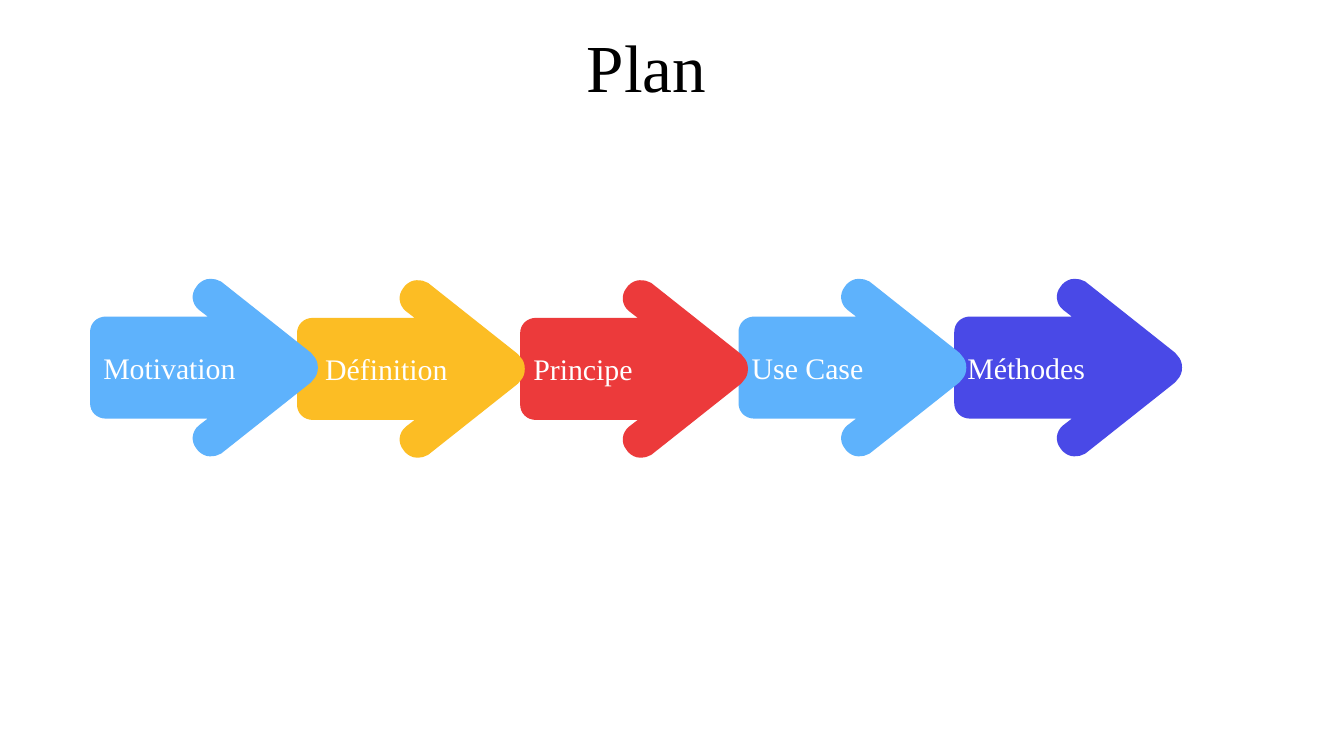
from lxml import etree
from pptx import Presentation, util as u
from pptx.dml.color import RGBColor
from pptx.enum import text
from pptx.oxml.ns import qn

PX = 4572  # EMU per px, 200 px to the inch
WIDTH, HEIGHT = 2000, 1125
INSET = 20
COLORS = {"sky": "5EB2FC", "amber": "FCBD24", "red": "EC3A3B",
          "indigo": "4949E7", "white": "FFFFFF", "black": "000000"}

# Upper half of an arrow, from the tip to the tail, relative to the tail's
# middle: one point is a straight line, three points are a Bezier curve
HALF_HEIGHT = 132
TIP = (339, 0)
UPPER_HALF = [
    [(339, -7), (337, -13), (332, -18)],
    [(330, -21), (328, -23), (325, -25)],
    [(195, -128)],
    [(190, -131), (185, -132), (178, -132)],
    [(172, -132), (166, -129), (161, -124)],
    [(158, -120)],
    [(150, -110), (151, -95), (162, -86)],
    [(175, -76)],
    [(24, -76)],
    [(10, -76), (0, -66), (0, -53)],
]

# Label, colour, left, middle, extra indent of the label
STEPS = [
    ("Motivation", "sky", 134, 547, 0),
    ("Définition", "amber", 442, 549, 22),
    ("Principe", "red", 774, 549, 0),
    ("Use Case", "sky", 1099, 547, 0),
    ("Méthodes", "indigo", 1420, 547, 0),
]


def px(length):
    return u.Emu(length * PX)


def arrow_outline():
    """Upper half, tail edge, then the upper half mirrored and run backwards."""
    starts = [TIP] + [part[-1] for part in UPPER_HALF]
    lower_half = [[(x, -y) for x, y in part[-2::-1] + [start]]
                  for start, part in zip(starts, UPPER_HALF)]
    tail_x, tail_y = starts[-1]
    return UPPER_HALF + [[(tail_x, -tail_y)]] + lower_half[::-1]


def bend(shape, outline):
    """Turn the lines of a freeform into curves where the outline has them."""
    lines = list(shape._element.iter(qn("a:lnTo")))
    for line, part in zip(lines, outline):
        if len(part) == 3:
            line.tag = qn("a:cubicBezTo")
            for point in list(line):
                line.remove(point)
            for x, y in part:
                etree.SubElement(line, qn("a:pt"), x=str(x), y=str(y + HALF_HEIGHT))


def write(frame, words, size=16, color="white", indent=0):
    frame.word_wrap = True
    frame.auto_size = text.MSO_AUTO_SIZE.NONE
    frame.vertical_anchor = text.MSO_ANCHOR.MIDDLE
    frame.margin_left = px(INSET + indent)
    frame.margin_right = frame.margin_top = frame.margin_bottom = px(INSET)
    para = frame.paragraphs[0]
    para.alignment = text.PP_ALIGN.LEFT
    span = para.add_run()
    span.text = words
    span.font.name = "Times New Roman"
    span.font.size = u.Pt(size)
    span.font.color.rgb = RGBColor.from_string(COLORS[color])


class PlanSlide:
    def __init__(self, deck):
        self.slide = deck.slides.add_slide(deck.slide_layouts[5])
        self.outline = arrow_outline()

    def title(self, words, left, top, width, height):
        box = self.slide.shapes.title
        box.left, box.top = px(left), px(top)
        box.width, box.height = px(width), px(height)
        write(box.text_frame, words, size=36, color="black")

    def arrow(self, label, color, left, middle, indent):
        builder = self.slide.shapes.build_freeform(*TIP, scale=PX)
        builder.add_line_segments([part[-1] for part in self.outline], close=True)
        shape = builder.convert_to_shape(px(left), px(middle))
        bend(shape, self.outline)
        shape.shadow.inherit = False
        shape.fill.solid()
        shape.fill.fore_color.rgb = RGBColor.from_string(COLORS[color])
        shape.line.fill.background()
        write(shape.text_frame, label, indent=indent)


def main():
    deck = Presentation()
    deck.slide_width, deck.slide_height = px(WIDTH), px(HEIGHT)
    page = PlanSlide(deck)

    # Title
    page.title("Plan", 853, 44, 246, 106)

    # Steps, last first so that each tip lies over the next arrow
    for step in reversed(STEPS):
        page.arrow(*step)

    deck.save("out.pptx")


if __name__ == "__main__":
    main()
